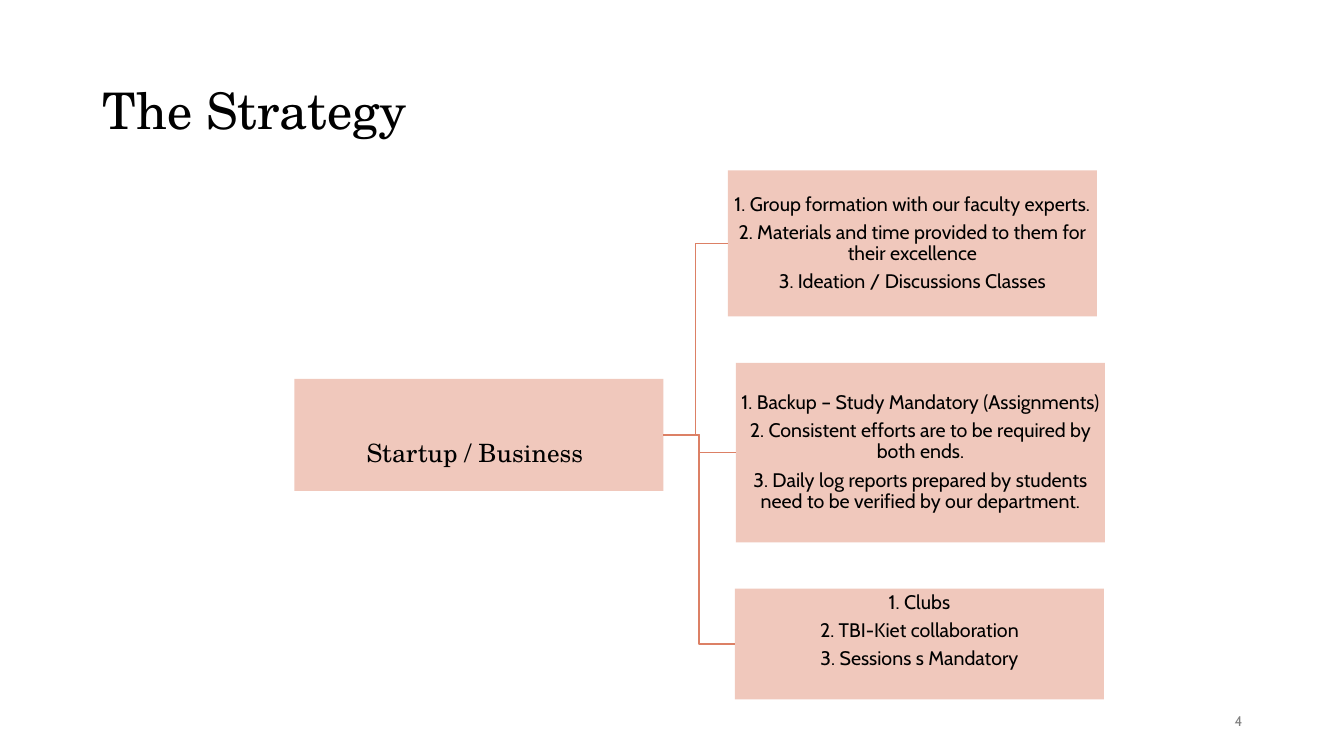
import pptx
import pptx.util
import pptx.dml.color
import pptx.enum.shapes
import pptx.enum.text
import lxml.etree

Inches, Pt = pptx.util.Inches, pptx.util.Pt
ALIGN = pptx.enum.text.PP_ALIGN
SERIF, SANS = "TeX Gyre Schola", "Cabin"
BLACK, GREY, PINK, CORAL = "000000", "808080", "F0C8BC", "DC8065"
BOX_WIDTH, PAD = 3.66, 0.01
RIGHT_SITE, LEFT_SITE = 3, 1

TITLE = "The Strategy"
PAGE_NUMBER = "4"
ROOT = {"at": (2.92, 3.76, 1.11), "insets": (PAD, 0.4, 0.09, PAD),
        "lines": ["Startup / Business"]}
BRANCHES = [
    {"at": (7.22, 1.69, 1.45), "insets": (PAD,) * 4,
     "lines": ["1. Group formation with our faculty experts.",
               "2. Materials and time provided to them for their excellence",
               "3. Ideation / Discussions Classes"]},
    {"at": (7.3, 3.6, 1.78), "insets": (PAD,) * 4,
     "lines": ["1. Backup – Study Mandatory (Assignments)",
               "2. Consistent efforts are to be required by both ends.",
               "3. Daily log reports prepared by students need to be verified by our department."]},
    {"at": (7.29, 5.84, 1.1), "insets": (PAD, PAD, PAD, 0.27),
     "lines": ["1. Clubs", "2. TBI-Kiet collaboration", "3. Sessions s Mandatory"]},
]


def rgb(value):
    return pptx.dml.color.RGBColor.from_string(value)


def write(sp, lines, font, size, color, align, insets=(0.1, 0.05, 0.1, 0.05), spacing=0.9, after=0):
    tf = sp.text_frame
    tf.word_wrap = True
    tf.vertical_anchor = pptx.enum.text.MSO_ANCHOR.MIDDLE
    tf.margin_left, tf.margin_top, tf.margin_right, tf.margin_bottom = map(Inches, insets)
    tf.text = "\n".join(lines)
    for p in tf.paragraphs:
        p.alignment = align
        p.line_spacing = spacing
        p.space_after = Pt(after)
        for r in p.runs:
            r.font.name = font
            r.font.size = Pt(size)
            r.font.color.rgb = rgb(color)


def add_label(s, at, text, font, size, color, align, spacing):
    sp = s.shapes.add_textbox(*map(Inches, at))
    write(sp, [text], font, size, color, align, spacing=spacing)


def add_box(s, box, font, size):
    left, top, height = box["at"]
    sp = s.shapes.add_shape(pptx.enum.shapes.MSO_SHAPE.RECTANGLE,
                            *map(Inches, (left, top, BOX_WIDTH, height)))
    sp.shadow.inherit = False
    sp.fill.solid()
    sp.fill.fore_color.rgb = rgb(PINK)
    sp.line.fill.background()
    write(sp, box["lines"], font, size, BLACK, ALIGN.CENTER, box["insets"], after=0.35 * size)
    return sp


def add_elbow(s, start, end):
    line = s.shapes.add_connector(pptx.enum.shapes.MSO_CONNECTOR.ELBOW, 0, 0, 0, 0)
    line.begin_connect(start, RIGHT_SITE)
    line.end_connect(end, LEFT_SITE)
    line.line.color.rgb = rgb(CORAL)
    line.line.width = Pt(1)
    sp_pr = line._element.spPr
    lxml.etree.SubElement(sp_pr, pptx.oxml.ns.qn("a:effectLst"))


def main():
    prs = pptx.Presentation()
    prs.slide_width, prs.slide_height = Inches(13.33), Inches(7.5)
    s = prs.slides.add_slide(prs.slide_layouts[6])
    add_label(s, (0.92, 0.77, 11.5, 0.7), TITLE, SERIF, 36, BLACK, ALIGN.LEFT, 0.9)
    add_label(s, (9.42, 6.95, 3, 0.4), PAGE_NUMBER, SANS, 10, GREY, ALIGN.RIGHT, 1.0)
    root = add_box(s, ROOT, SERIF, 18)
    for branch in BRANCHES:
        add_elbow(s, root, add_box(s, branch, SANS, 14))
    prs.save("out.pptx")


if __name__ == "__main__":
    main()
